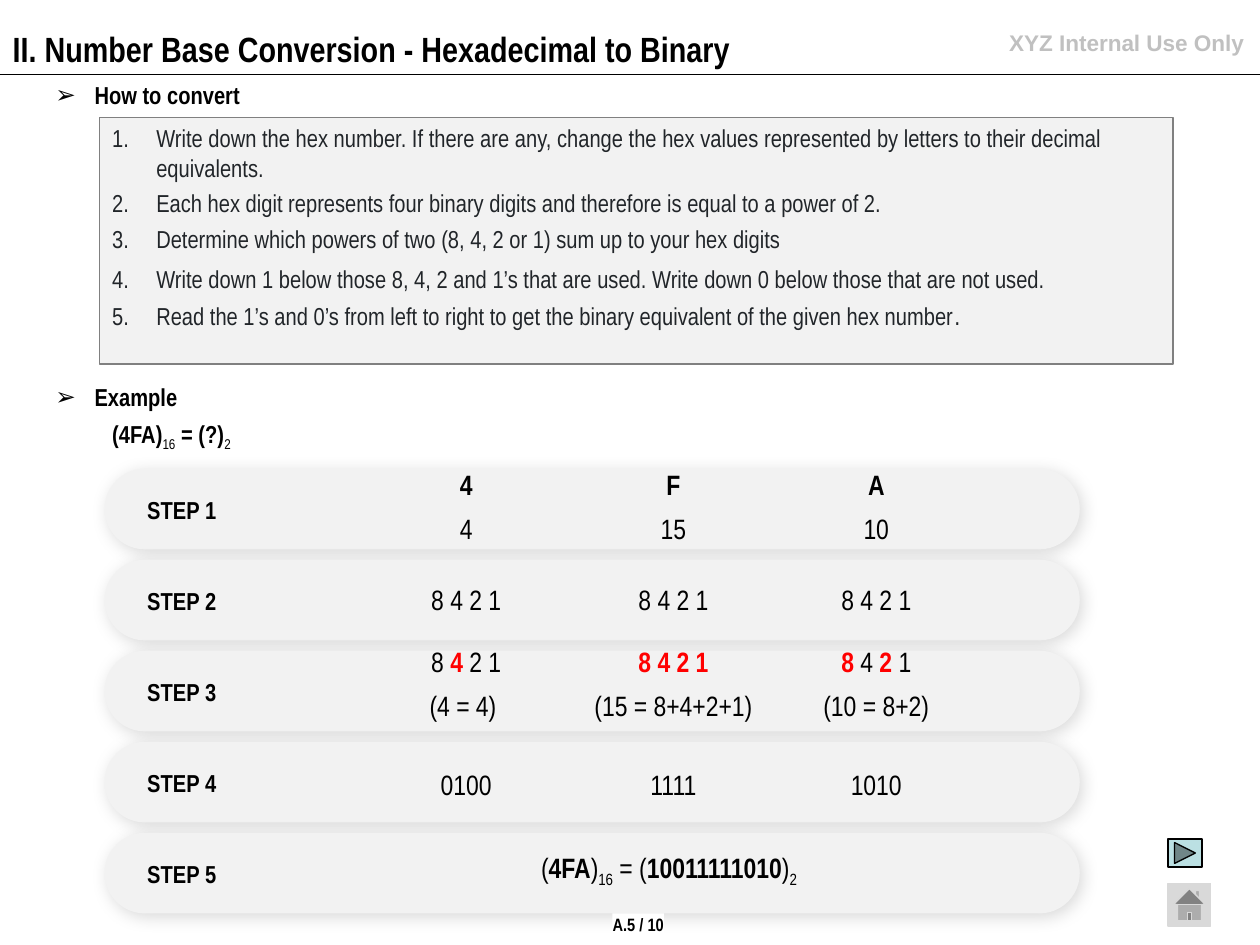
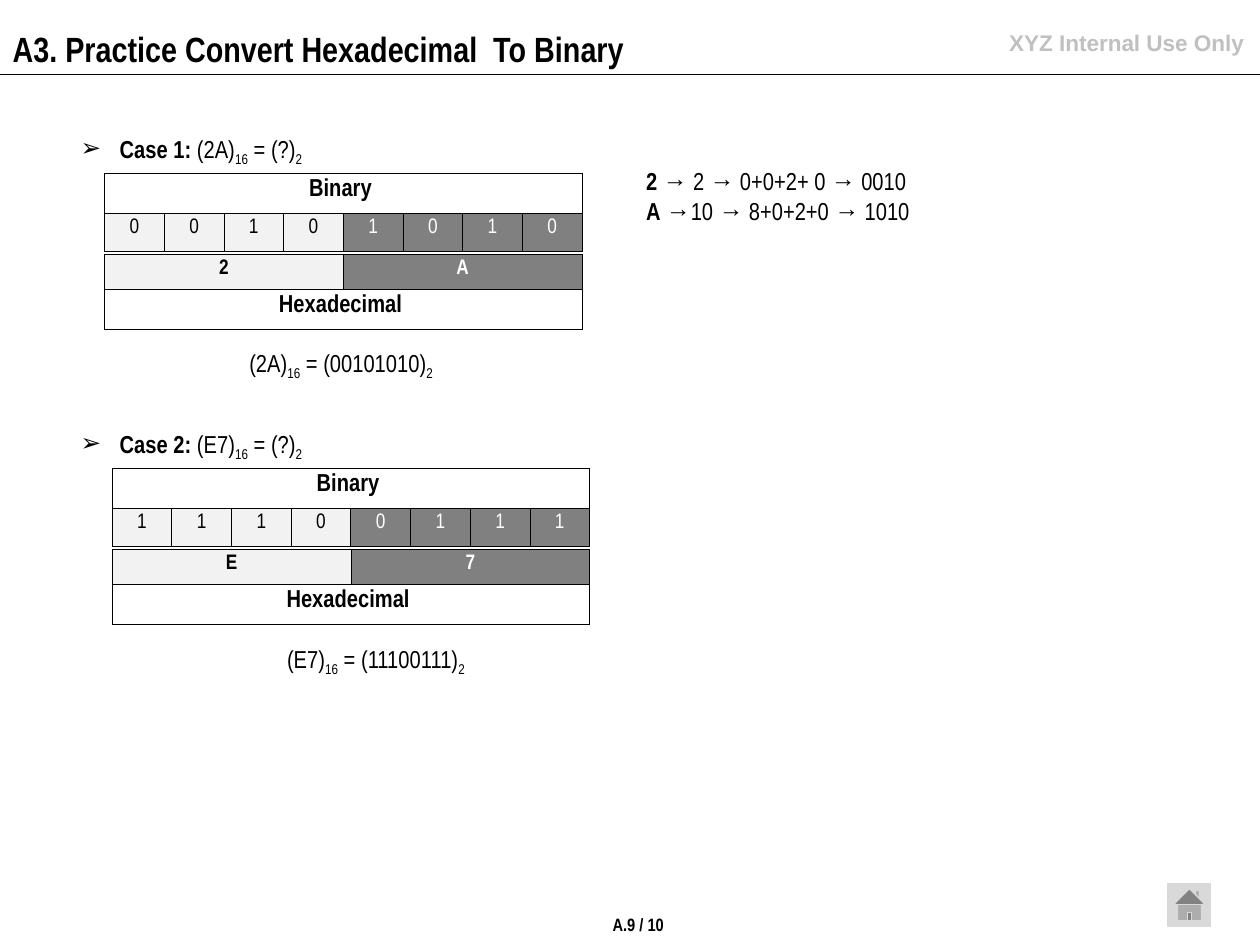
from dataclasses import dataclass
from typing import NamedTuple, Optional

from lxml import etree
from pptx import Presentation
from pptx.dml.color import RGBColor
from pptx.enum import shapes, text
from pptx.oxml.ns import qn
from pptx.util import Inches, Pt


@dataclass(frozen=True)
class Theme:
    font: str = "Arial Narrow"
    label_font: str = "Arial"
    black: str = "000000"
    white: str = "FFFFFF"
    ink: str = "212529"
    red: str = "FF0000"
    panel: str = "F2F2F2"
    dark: str = "808080"
    silver: str = "C0C0C0"
    home: str = "D9D9D9"
    next: str = "BBE0E3"
    title: float = 20
    step: float = 16
    body: float = 14
    label: float = 12.9
    digit: float = 12
    page: float = 10.2


T = Theme()
NO_STYLE = "{2D5ABB26-0587-4C30-8999-92F81FD0307C}"
LEFT, CENTER, RIGHT = text.PP_ALIGN.LEFT, text.PP_ALIGN.CENTER, text.PP_ALIGN.RIGHT
TOP, MIDDLE = text.MSO_ANCHOR.TOP, text.MSO_ANCHOR.MIDDLE


class Box(NamedTuple):
    x: float
    y: float
    w: float
    h: float

    def inches(self) -> list:
        return [Inches(v) for v in self]


class Run(NamedTuple):
    text: str
    bold: bool = False
    sub: bool = False
    color: Optional[str] = None
    size: Optional[float] = None


class Case(NamedTuple):
    number: int
    hexa: str
    bits: str
    x: float
    y: float
    result: Box


HOW_TO = [
    [Run("Write down the hex number. If there are any, change the hex values "
         "represented by letters to their decimal equivalents.")],
    [Run("Each hex digit represents four binary digits and therefore is equal to a power of 2.")],
    [Run("Determine which powers of two (8, 4, 2 or 1) sum up to your hex digits")],
    [Run("Write down 1 below those 8, 4, 2 and 1’s that are used. "
         "Write down 0 below those that are not used.")],
    [Run("Read the 1’s and 0’s from left to right to get the binary equivalent "
         "of the given hex number"), Run(".", size=15)],
]
CASES = [
    Case(1, "2A", "00101010", 0.83, 1.38, Box(1.88, 2.71, 2.19, 0.34)),
    Case(2, "E7", "11100111", 0.89, 3.72, Box(2.18, 5.06, 2.18, 0.34)),
]
WORKINGS = [
    [Run("2", True), Run(" → 2 → 0+0+2+ 0 → 0010")],
    [Run("A", True), Run(" →10 → 8+0+2+0 → 1010")],
]
STEP_COLS = [0.95, 1.64, 1.65, 1.57]
STEP_ROWS = [0.34, 0.36, 0.3, 0.4, 0.34, 0.33, 0.3, 0.55, 0.3, 0.2]
PILL = Box(0.83, 3.72, 7.74, 0.64)
PILL_PITCH = (6.61 - 3.72) / 4


def rgb(color: str) -> RGBColor:
    return RGBColor.from_string(color)


def equation(hexa: str, result: str, bold: bool = False) -> list[Run]:
    return [Run(f"({hexa})", bold), Run("16", sub=True),
            Run(f" = ({result})", bold), Run("2", sub=True)]


def powers(used: str = "") -> list[Run]:
    """The weights 8 4 2 1, with the used ones in bold red."""
    return [Run(d if d == "1" else d + " ", d in used, color=T.red if d in used else None)
            for d in "8421"]


def write(p, runs: list[Run], size: float = T.body, color: str = T.black,
          align=LEFT, font: str = T.font) -> None:
    p.alignment = align
    p.font.name, p.font.size = font, Pt(size)
    p.font.color.rgb = rgb(color)
    all_bold = all(run.bold for run in runs)
    p.font.bold = all_bold
    for run in runs:
        r = p.add_run()
        r.text = run.text
        if run.bold != all_bold:
            r.font.bold = run.bold
        if run.color:
            r.font.color.rgb = rgb(run.color)
        if run.size:
            r.font.size = Pt(run.size)
        if run.sub:
            r._r.get_or_add_rPr().set("baseline", "-25000")


def set_bullet(p, tag: str, indent: float = 0, **attrs: str) -> None:
    pPr = p._p.get_or_add_pPr()
    pPr.set("marL", str(Inches(indent)))
    pPr.set("indent", str(-Inches(indent)))
    pPr.insert_element_before(etree.Element(qn(tag), attrs), "a:tabLst", "a:defRPr", "a:extLst")


def place(sp, box: Box, anchor=TOP):
    """Move a placeholder and return its text frame, ready for text."""
    sp.left, sp.top, sp.width, sp.height = box.inches()
    tf = sp.text_frame
    tf.word_wrap, tf.auto_size, tf.vertical_anchor = True, text.MSO_AUTO_SIZE.NONE, anchor
    return tf


def add_heading(sp, box: Box, runs: list[Run], arrow: bool = True) -> None:
    p = place(sp, box, MIDDLE).paragraphs[0]
    p.line_spacing, p.space_before = 0.9, Pt(0)
    if arrow:
        set_bullet(p, "a:buChar", 0.31, char="➢")
    else:
        set_bullet(p, "a:buNone")
    write(p, runs)


def add_text(slide, box: Box, lines: list[list[Run]], **style) -> None:
    tf = slide.shapes.add_textbox(*box.inches()).text_frame
    tf.word_wrap = True
    for i, runs in enumerate(lines):
        write(tf.add_paragraph() if i else tf.paragraphs[0], runs, **style)


def add_shape(slide, kind, box: Box, fill: str, line: Optional[str] = None):
    sp = slide.shapes.add_shape(kind, *box.inches())
    sp.shadow.inherit = False
    sp.fill.solid()
    sp.fill.fore_color.rgb = rgb(fill)
    if line:
        sp.line.color.rgb = rgb(line)
        sp.line.width = Pt(0.75)
    else:
        sp.line.fill.background()
    return sp


def add_pill(slide, box: Box) -> None:
    sp = add_shape(slide, shapes.MSO_SHAPE.ROUNDED_RECTANGLE, box, T.panel)
    sp.adjustments[0] = 0.5
    effects = sp._element.spPr.find(qn("a:effectLst"))
    shadow = etree.SubElement(effects, qn("a:outerShdw"), blurRad=str(Pt(10)),
                              dist=str(Pt(2)), dir="2700000", algn="tl", rotWithShape="0")
    color = etree.SubElement(shadow, qn("a:srgbClr"), val=T.black)
    etree.SubElement(color, qn("a:alpha"), val="15000")


def add_table(slide, x: float, y: float, cols: list[float], rows: list[float]):
    box = Box(x, y, sum(cols), sum(rows))
    table = slide.shapes.add_table(len(rows), len(cols), *box.inches()).table
    table.first_row = table.horz_banding = False
    table._tbl.tblPr.find(qn("a:tableStyleId")).text = NO_STYLE
    for col, width in zip(table.columns, cols):
        col.width = Inches(width)
    for row, height in zip(table.rows, rows):
        row.height = Inches(height)
    for cell in table.iter_cells():
        cell.margin_left = cell.margin_right = Inches(0.07)
        cell.margin_top = cell.margin_bottom = Inches(0.04)
        cell.fill.background()
    return table


def add_borders(table) -> None:
    for cell in table.iter_cells():
        tcPr = cell._tc.get_or_add_tcPr()
        for i, side in enumerate(("a:lnL", "a:lnR", "a:lnT", "a:lnB")):
            ln = etree.Element(qn(side), w=str(Pt(0.5)))
            fill = etree.SubElement(ln, qn("a:solidFill"))
            etree.SubElement(fill, qn("a:srgbClr"), val=T.black)
            tcPr.insert(i, ln)


def fill_cell(cell, runs: list[Run], size: float, fill: Optional[str] = None) -> None:
    if fill:
        cell.fill.solid()
        cell.fill.fore_color.rgb = rgb(fill)
    color = T.white if fill == T.dark else T.black
    write(cell.text_frame.paragraphs[0], runs, size, color, CENTER)


def start_slide(prs, layout: int, title: str):
    slide = prs.slides.add_slide(prs.slide_layouts[layout])
    write(place(slide.shapes.title, Box(0, 0.17, 8.37, 0.44)).paragraphs[0],
          [Run(title, True)], T.title)
    rule = slide.shapes.add_connector(shapes.MSO_CONNECTOR.STRAIGHT,
                                      *Box(0, 0.59, 10, 0.59).inches())
    rule.line.color.rgb, rule.line.width = rgb(T.black), Pt(0.75)
    etree.SubElement(rule._element.spPr, qn("a:effectLst"))
    add_text(slide, Box(7.22, 0.18, 2.75, 0.32), [[Run("XYZ Internal Use Only", True)]],
             size=T.label, color=T.silver, align=RIGHT, font=T.label_font)
    return slide


def finish_slide(slide, page: str) -> None:
    """Add the home button and the page number."""
    add_shape(slide, shapes.MSO_SHAPE.ACTION_BUTTON_HOME,
              Box(9.27, 7.01, 0.34, 0.34), T.home, T.home)
    tf = add_shape(slide, shapes.MSO_SHAPE.RECTANGLE,
                   Box(4.86, 7.25, 0.41, 0.17), T.white).text_frame
    tf.margin_left = tf.margin_right = tf.margin_top = tf.margin_bottom = 0
    tf.word_wrap = False
    write(tf.paragraphs[0], [Run(f"{page} / 10", True)], T.page, align=CENTER)


def add_how_to_list(sp) -> None:
    tf = place(sp, Box(0.79, 0.93, 8.52, 1.96))
    sp.fill.solid()
    sp.fill.fore_color.rgb = rgb(T.panel)
    sp.line.color.rgb, sp.line.width = rgb(T.dark), Pt(0.75)
    for i, runs in enumerate(HOW_TO):
        p = tf.add_paragraph() if i else tf.paragraphs[0]
        p.space_before = Pt(6 if i == 3 else 3.4)
        set_bullet(p, "a:buAutoNum", 0.35, type="arabicPeriod")
        write(p, runs, color=T.ink)


def add_step_table(slide) -> None:
    table = add_table(slide, 1.93, 3.73, STEP_COLS, STEP_ROWS)
    answer = [Run("("), Run("4FA", True), Run(")"), Run("16", sub=True), Run(" = ("),
              Run("10011111010", True), Run(")"), Run("2", sub=True)]
    rows = {
        0: [[Run(d, True)] for d in "4FA"],
        1: [[Run(n)] for n in ("4", "15", "10")],
        2: [powers()] * 3,
        4: [powers("4"), powers("8421"), powers("82")],
        5: [[Run(s)] for s in ("(4 = 4) ", "(15 = 8+4+2+1)", "(10 = 8+2)")],
        6: [[Run(b)] for b in ("0100", "1111", "1010")],
        8: [answer],
    }
    for row in (2, 6):
        for col in (1, 2, 3):
            table.cell(row, col).merge(table.cell(row + 1, col))
    table.cell(8, 1).merge(table.cell(9, 3))
    for row, cells in rows.items():
        for col, runs in enumerate(cells, 1):
            cell = table.cell(row, col)
            fill_cell(cell, runs, T.step)
            if cell.is_merge_origin:
                cell.vertical_anchor = MIDDLE
    for cell in table.iter_cells():
        if not cell.text_frame.text:
            etree.SubElement(cell.text_frame.paragraphs[0]._p, qn("a:endParaRPr"), sz="600")


def build_conversion(prs) -> None:
    slide = start_slide(prs, 4, "II. Number Base Conversion - Hexadecimal to Binary")
    ph = slide.placeholders
    add_heading(ph[1], Box(0.34, 0.53, 8.62, 0.47), [Run("How to convert", True)])
    add_how_to_list(ph[2])
    add_heading(ph[3], Box(0.34, 2.93, 1.86, 0.47), [Run("Example", True)])
    add_heading(ph[4], Box(0.79, 3.27, 2.29, 0.36), equation("4FA", "?", True), arrow=False)
    for i in range(5):
        y = PILL.y + i * PILL_PITCH
        add_pill(slide, PILL._replace(y=y))
        add_text(slide, Box(1.07, y + 0.16, 0.85, 0.34), [[Run(f"STEP {i + 1}", True)]])
    add_step_table(slide)
    add_shape(slide, shapes.MSO_SHAPE.ACTION_BUTTON_FORWARD_OR_NEXT,
              Box(9.27, 6.66, 0.27, 0.22), T.next, T.black)
    finish_slide(slide, "A.5")


def add_case(slide, case: Case) -> None:
    add_heading(slide.placeholders[case.number], Box(0.54, case.y - 0.43, 3.15, 0.47),
                [Run(f"Case {case.number}: ", True)] + equation(case.hexa, "?"))
    fills = (T.panel, T.dark)

    binary = add_table(slide, case.x, case.y, [3.79 / 8] * 8, [0.31, 0.3])
    binary.cell(0, 0).merge(binary.cell(0, 7))
    fill_cell(binary.cell(0, 0), [Run("Binary ", True)], T.body)
    for i, bit in enumerate(case.bits):
        fill_cell(binary.cell(1, i), [Run(bit)], T.digit, fills[i // 4])

    hexa = add_table(slide, case.x, case.y + 0.64, [3.79 / 2] * 2, [0.28, 0.31])
    hexa.cell(1, 0).merge(hexa.cell(1, 1))
    for i, digit in enumerate(case.hexa):
        fill_cell(hexa.cell(0, i), [Run(digit, True)], T.digit, fills[i])
    fill_cell(hexa.cell(1, 0), [Run("Hexadecimal ", True)], T.body, T.white)

    for table in (binary, hexa):
        add_borders(table)
    add_text(slide, case.result, [equation(case.hexa, case.bits)])


def build_practice(prs) -> None:
    slide = start_slide(prs, 3, "A3. Practice Convert Hexadecimal  To Binary")
    for case in CASES:
        add_case(slide, case)
    add_text(slide, Box(5.03, 1.27, 3.74, 0.57), WORKINGS)
    finish_slide(slide, "A.9")


def main() -> None:
    prs = Presentation()
    prs.slide_width, prs.slide_height = Inches(10), Inches(7.5)
    build_conversion(prs)
    build_practice(prs)
    prs.save("out.pptx")


if __name__ == "__main__":
    main()
